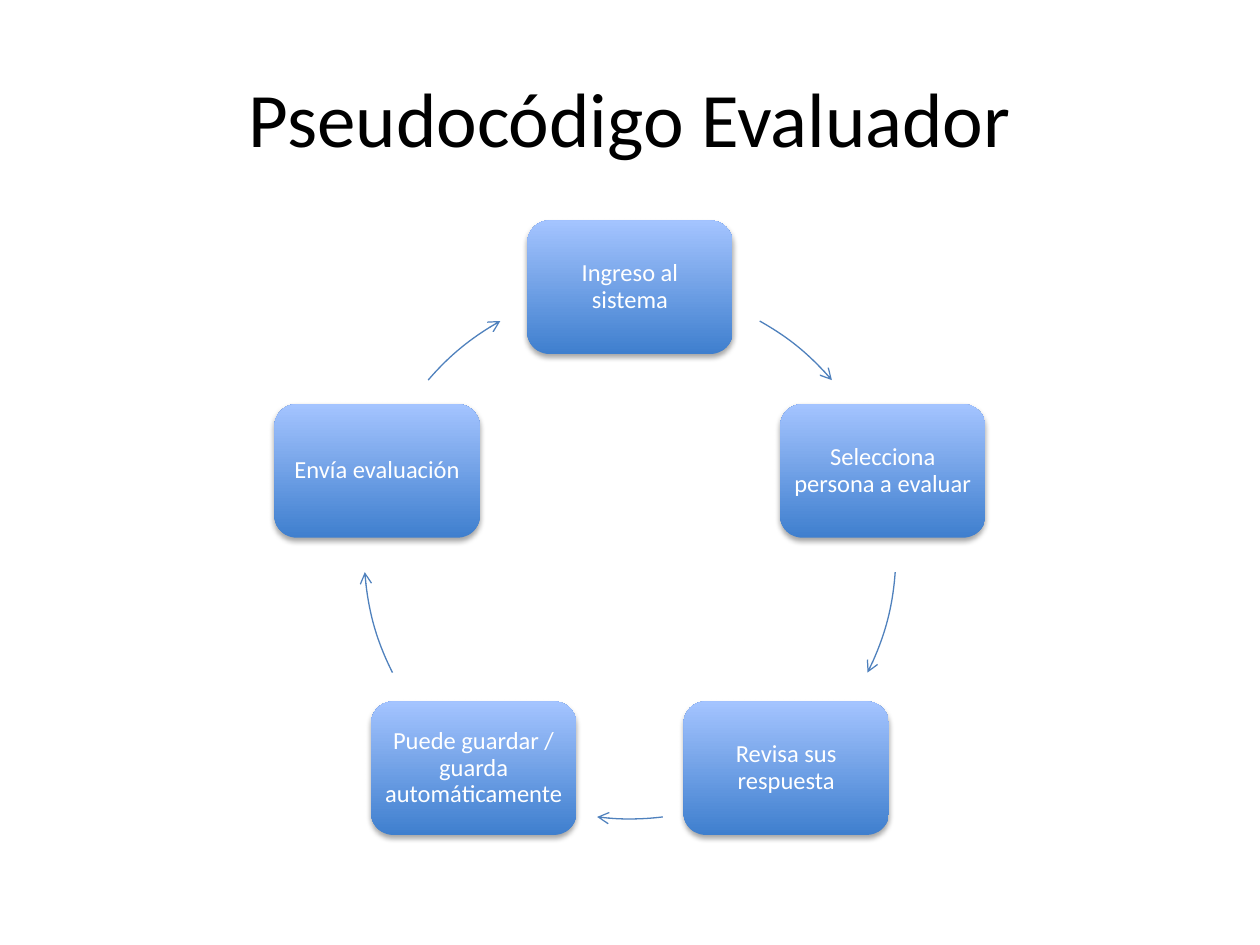
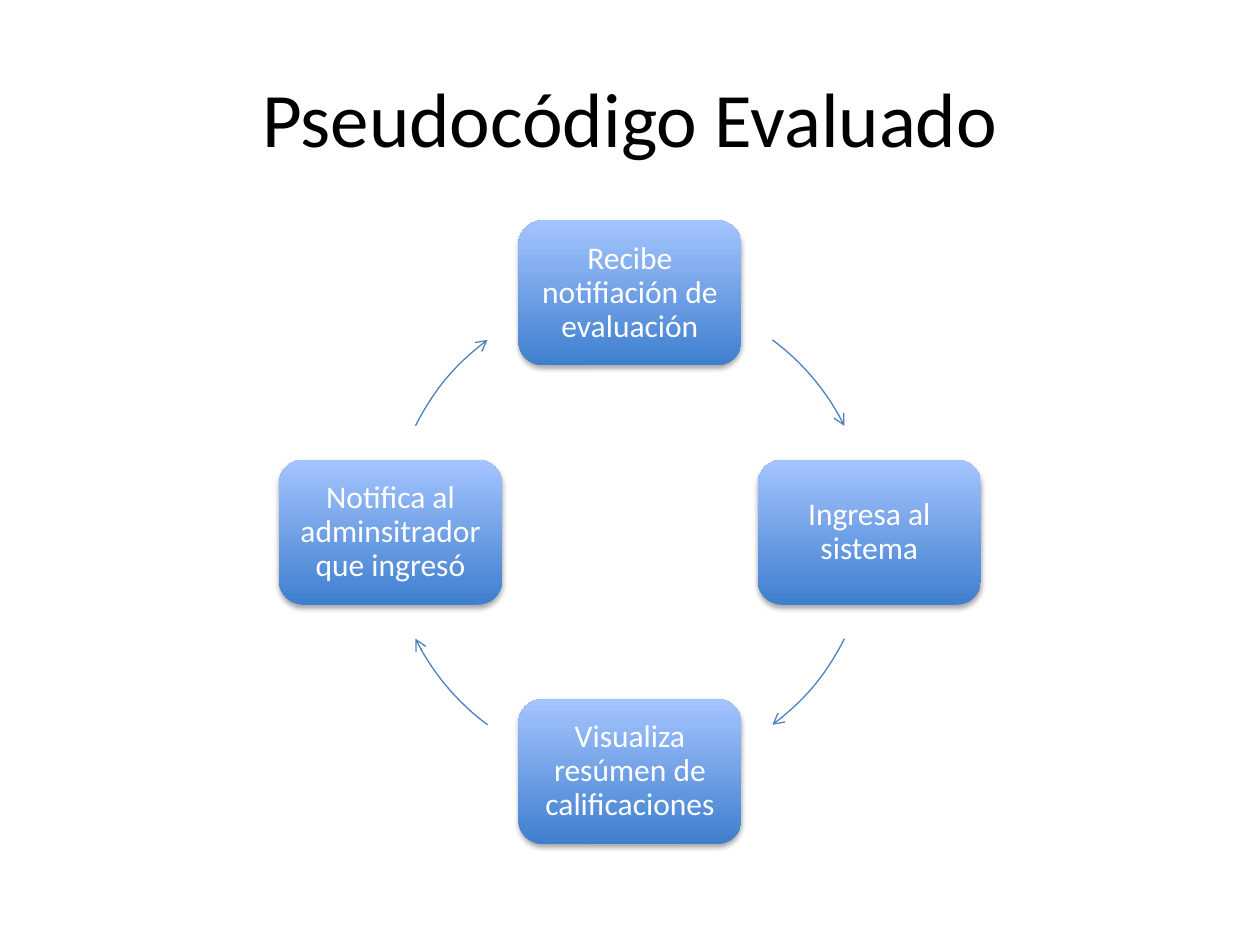
from dataclasses import dataclass
from math import cos, radians, sin

from lxml.etree import SubElement
from pptx import Presentation
from pptx.dml.color import RGBColor as Color
from pptx.enum.shapes import MSO_SHAPE as Preset
from pptx.enum.text import MSO_ANCHOR as Anchor, PP_ALIGN as Align
from pptx.oxml.ns import qn
from pptx.util import Inches, Pt


@dataclass(frozen=True)
class Theme:
    """Colours, type sizes and effects shared by the slides."""

    font: str = "Calibri"
    title_size: float = 44
    title_color: str = "000000"
    node_text: str = "FFFFFF"
    node_bottom: str = "3F7FCE"
    node_top: str = "A4C4FF"
    arrow_color: str = "4F81BD"
    arrow_width: float = 0.75
    shadow_color: str = "000000"
    shadow_blur: float = 3.1
    shadow_distance: float = 1.8
    shadow_opacity: int = 35


@dataclass(frozen=True)
class Box:
    """A rectangle on the slide."""

    left: int
    top: int
    width: int
    height: int

    @classmethod
    def centred(cls, x, y, width, height):
        """Return a box around a centre point."""
        return cls(int(x - width / 2), int(y - height / 2), int(width), int(height))

    def place(self):
        """Return left, top, width and height."""
        return self.left, self.top, self.width, self.height


@dataclass(frozen=True)
class Cycle:
    """Steps on a ring, sizes as shares of slide width, arcs in degrees."""

    title: str
    steps: tuple
    text_size: float
    node_width: float
    radius: float
    right_arcs: tuple

    def arcs(self):
        """Return all arcs, mirroring the right side to the left."""
        mirrored = self.right_arcs[: len(self.steps) // 2]
        return self.right_arcs + tuple((180 - end, 180 - start) for start, end in reversed(mirrored))


THEME = Theme()
WIDTH, HEIGHT = Inches(10), Inches(7.5)
NODE_RATIO = 0.65
TITLE_BOX = Box(int(WIDTH * 0.05), int(HEIGHT * 0.04), int(WIDTH * 0.9), int(HEIGHT / 6))
CYCLE_BOX = Box(int(WIDTH * 0.05), int(HEIGHT * 7 / 30), int(WIDTH * 0.9), int(HEIGHT * 0.66))
CYCLES = (
    Cycle(
        "Pseudocódigo Evaluador",
        (
            "Ingreso al sistema",
            "Selecciona persona a evaluar",
            "Revisa sus respuesta",
            "Puede guardar / guarda automáticamente",
            "Envía evaluación",
        ),
        14, 0.163, 0.211,
        ((-60.8, -40.6), (4.1, 26.7), (82.9, 97.1)),
    ),
    Cycle(
        "Pseudocódigo Evaluado",
        (
            "Recibe notifiación de evaluación",
            "Ingresa al sistema",
            "Visualiza resúmen de calificaciones",
            "Notifica al adminsitrador que ingresó",
        ),
        18, 0.177, 0.19,
        ((-53.5, -26.4), (26.4, 53.5)),
    ),
)


def apply(target, values):
    """Set each attribute named in a dict."""
    for name, value in values.items():
        setattr(target, name, value)


def write_text(shape, text, size, color, frame_format, paragraph_format):
    """Put one formatted paragraph in a shape."""
    frame = shape.text_frame
    frame.text = text
    apply(frame, {"word_wrap": True, "vertical_anchor": Anchor.MIDDLE, **frame_format})
    paragraph = frame.paragraphs[0]
    apply(paragraph, {"alignment": Align.CENTER, **paragraph_format})
    font = paragraph.runs[0].font
    apply(font, {"name": THEME.font, "size": Pt(size)})
    font.color.rgb = Color.from_string(color)


def add_soft_shadow(shape):
    """Give a shape the shared downward shadow."""
    shape.shadow.inherit = False
    effects = shape.element.spPr.find(qn("a:effectLst"))
    shadow = SubElement(
        effects, qn("a:outerShdw"),
        blurRad=str(Pt(THEME.shadow_blur)), dist=str(Pt(THEME.shadow_distance)),
        dir="5400000", rotWithShape="0",
    )
    color = SubElement(shadow, qn("a:srgbClr"), val=THEME.shadow_color)
    SubElement(color, qn("a:alpha"), val=str(THEME.shadow_opacity * 1000))


def add_title(slide, box, text):
    """Place and format the title placeholder."""
    title = slide.shapes.title
    apply(title, dict(zip(("left", "top", "width", "height"), box.place())))
    write_text(title, text, THEME.title_size, THEME.title_color, {}, {})


def add_node(slide, box, text, size):
    """Draw one rounded step with its text."""
    node = slide.shapes.add_shape(Preset.ROUNDED_RECTANGLE, *box.place())
    node.fill.gradient()
    node.fill.gradient_angle = 90
    colors = (THEME.node_bottom, THEME.node_top)
    for position, (stop, color) in enumerate(zip(node.fill.gradient_stops, colors)):
        stop.position = position
        stop.color.rgb = Color.from_string(color)
    node.line.fill.background()
    add_soft_shadow(node)
    sides = ("left", "top", "right", "bottom")
    margins = {f"margin_{side}": Pt(size * 0.3) for side in sides}
    write_text(node, text, size, THEME.node_text, margins, {"line_spacing": 0.9})


def add_arc_arrow(slide, box, start, end):
    """Draw a clockwise arc of the ring ending in an arrowhead."""
    arc = slide.shapes.add_shape(Preset.ARC, *box.place())
    for index, angle in enumerate((start, end)):
        arc.adjustments[index] = angle % 360 * 0.6
    arc.fill.background()
    arc.shadow.inherit = False
    arc.line.color.rgb = Color.from_string(THEME.arrow_color)
    arc.line.width = Pt(THEME.arrow_width)
    SubElement(arc.element.spPr.find(qn("a:ln")), qn("a:tailEnd"), type="arrow")


def add_cycle(slide, box, cycle):
    """Arrange the steps and arrows on a ring at the top of a box."""
    node_width, radius = WIDTH * cycle.node_width, WIDTH * cycle.radius
    node_height = node_width * NODE_RATIO
    center_x = box.left + box.width / 2
    center_y = box.top + node_height / 2 + radius
    ring = Box.centred(center_x, center_y, 2 * radius, 2 * radius)
    for index, (step, arc) in enumerate(zip(cycle.steps, cycle.arcs())):
        angle = radians(360 * index / len(cycle.steps) - 90)
        x, y = center_x + radius * cos(angle), center_y + radius * sin(angle)
        add_node(slide, Box.centred(x, y, node_width, node_height), step, cycle.text_size)
        add_arc_arrow(slide, ring, *arc)


def build():
    """Build and save the presentation."""
    presentation = Presentation()
    apply(presentation, {"slide_width": WIDTH, "slide_height": HEIGHT})
    title_only = presentation.slide_layouts.get_by_name("Title Only")
    for cycle in CYCLES:
        slide = presentation.slides.add_slide(title_only)
        add_title(slide, TITLE_BOX, cycle.title)
        add_cycle(slide, CYCLE_BOX, cycle)
    presentation.save("out.pptx")


build()
